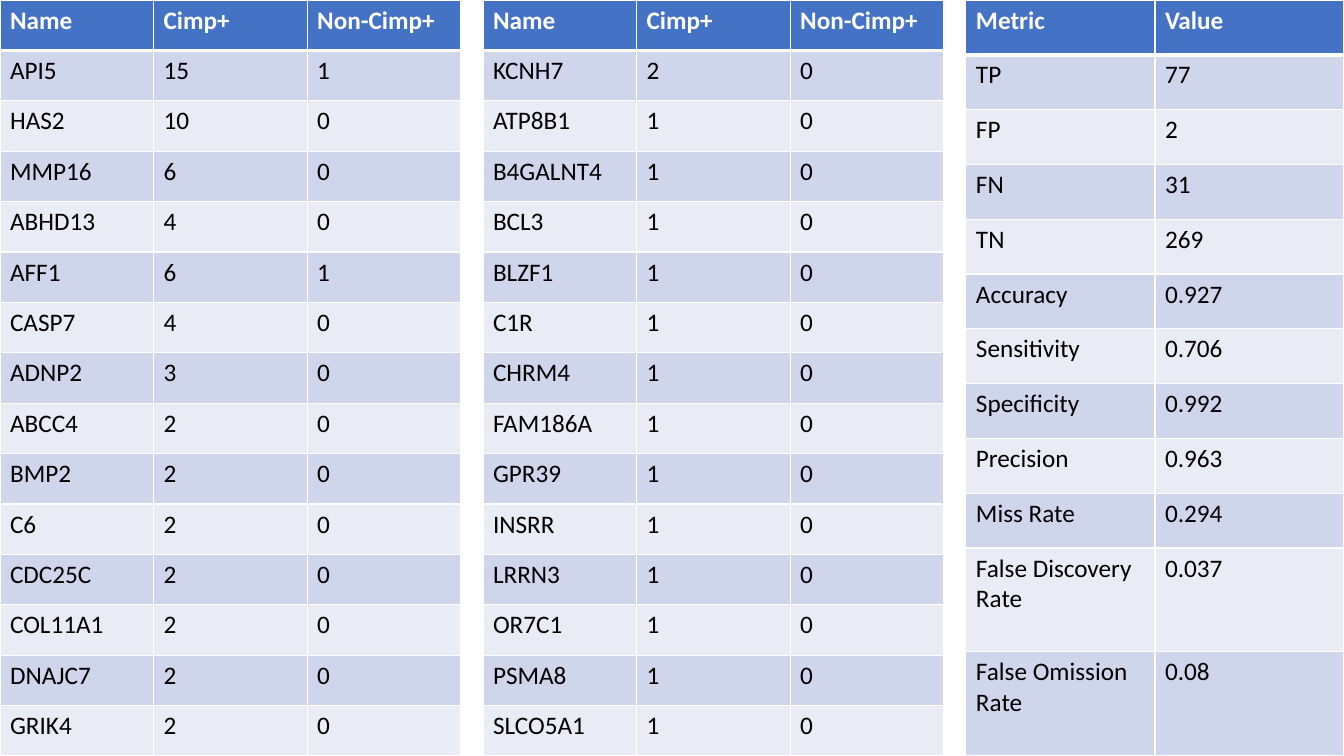
from lxml.etree import SubElement
from pptx import Presentation
from pptx.dml.color import RGBColor
from pptx.oxml.ns import qn
from pptx.util import Inches, Pt

COLORS = {"head": "4472C4", "odd": "CFD5EA", "even": "E9EBF5",
          "line": "FFFFFF", "light": "FFFFFF", "dark": "000000"}
WIDTH, HEIGHT = 13.33, 7.5
GENE_HEAD = ("Name", "Cimp+", "Non-Cimp+")
TOP_GENES = [
    ("API5", 15, 1), ("HAS2", 10, 0), ("MMP16", 6, 0), ("ABHD13", 4, 0),
    ("AFF1", 6, 1), ("CASP7", 4, 0), ("ADNP2", 3, 0), ("ABCC4", 2, 0),
    ("BMP2", 2, 0), ("C6", 2, 0), ("CDC25C", 2, 0), ("COL11A1", 2, 0),
    ("DNAJC7", 2, 0), ("GRIK4", 2, 0),
]
MORE_GENES = [("KCNH7", 2, 0)] + [(name, 1, 0) for name in (
    "ATP8B1", "B4GALNT4", "BCL3", "BLZF1", "C1R", "CHRM4", "FAM186A",
    "GPR39", "INSRR", "LRRN3", "OR7C1", "PSMA8", "SLCO5A1")]
METRICS = [
    ("TP", 77), ("FP", 2), ("FN", 31), ("TN", 269), ("Accuracy", 0.927),
    ("Sensitivity", 0.706), ("Specificity", 0.992), ("Precision", 0.963),
    ("Miss Rate", 0.294), ("False Discovery\nRate", 0.037),
    ("False Omission\nRate", 0.08),
]


def rgb(name):
    return RGBColor.from_string(COLORS[name])


def write(frame, text, font="Calibri", size=18, color="dark", bold=False):
    """Fill a text frame; each line of the text is a paragraph."""
    frame.text = text
    for para in frame.paragraphs:
        for run in para.runs:
            run.font.name = font
            run.font.size = Pt(size)
            run.font.bold = bold
            run.font.color.rgb = rgb(color)


def border(cell, top=1, bottom=1):
    """Draw the cell's four edges; widths are in points."""
    props = cell._tc.get_or_add_tcPr()
    edges = (("L", 1), ("R", 1), ("T", top), ("B", bottom))
    for place, (side, width) in enumerate(edges):
        line = SubElement(props, qn(f"a:ln{side}"), w=str(Pt(width)))
        fill = SubElement(line, qn("a:solidFill"))
        SubElement(fill, qn("a:srgbClr"), val=COLORS["line"])
        props.insert(place, line)


class Deck:
    """Holds the presentation and its current slide."""

    def __init__(self):
        self.show = Presentation()
        self.show.slide_width = Inches(WIDTH)
        self.show.slide_height = Inches(HEIGHT)
        self.slide = self.show.slides.add_slide(self.show.slide_layouts[6])

    def table(self, left, width, head, body, heights):
        rows = [head, *body]
        grid = self.slide.shapes.add_table(
            len(rows), len(head), Inches(left), Inches(0),
            Inches(width), Inches(HEIGHT)).table
        for col in grid.columns:
            col.width = Inches(width / len(head))
        for i, (values, height) in enumerate(zip(rows, heights)):
            grid.rows[i].height = Inches(height)
            shade = "head" if i == 0 else "odd" if i % 2 else "even"
            for cell, value in zip(grid.rows[i].cells, values):
                write(cell.text_frame, str(value), bold=i == 0,
                      color="light" if i == 0 else "dark")
                cell.fill.solid()
                cell.fill.fore_color.rgb = rgb(shade)
                border(cell, top=3 if i == 1 else 1, bottom=3 if i == 0 else 1)


def main():
    deck = Deck()
    for left, genes in ((0, TOP_GENES), (4.79, MORE_GENES)):
        deck.table(left, 4.57, GENE_HEAD, genes, [HEIGHT / 15] * 15)
    tall = 1.03
    short = (HEIGHT - 2 * tall) / 10
    deck.table(9.58, 3.75, ("Metric", "Value"), METRICS,
               [short] * 10 + [tall] * 2)
    deck.show.save("out.pptx")


if __name__ == "__main__":
    main()
